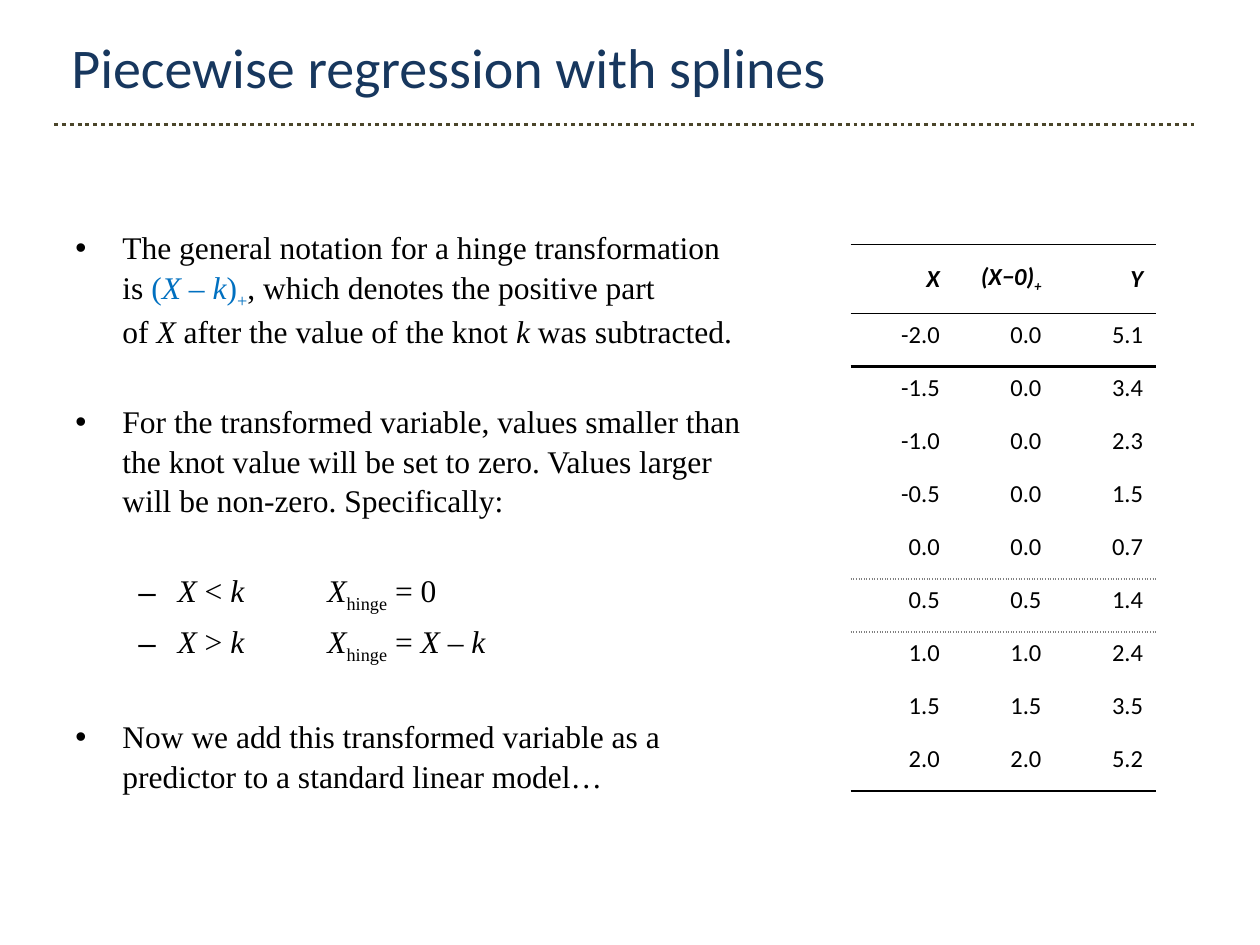
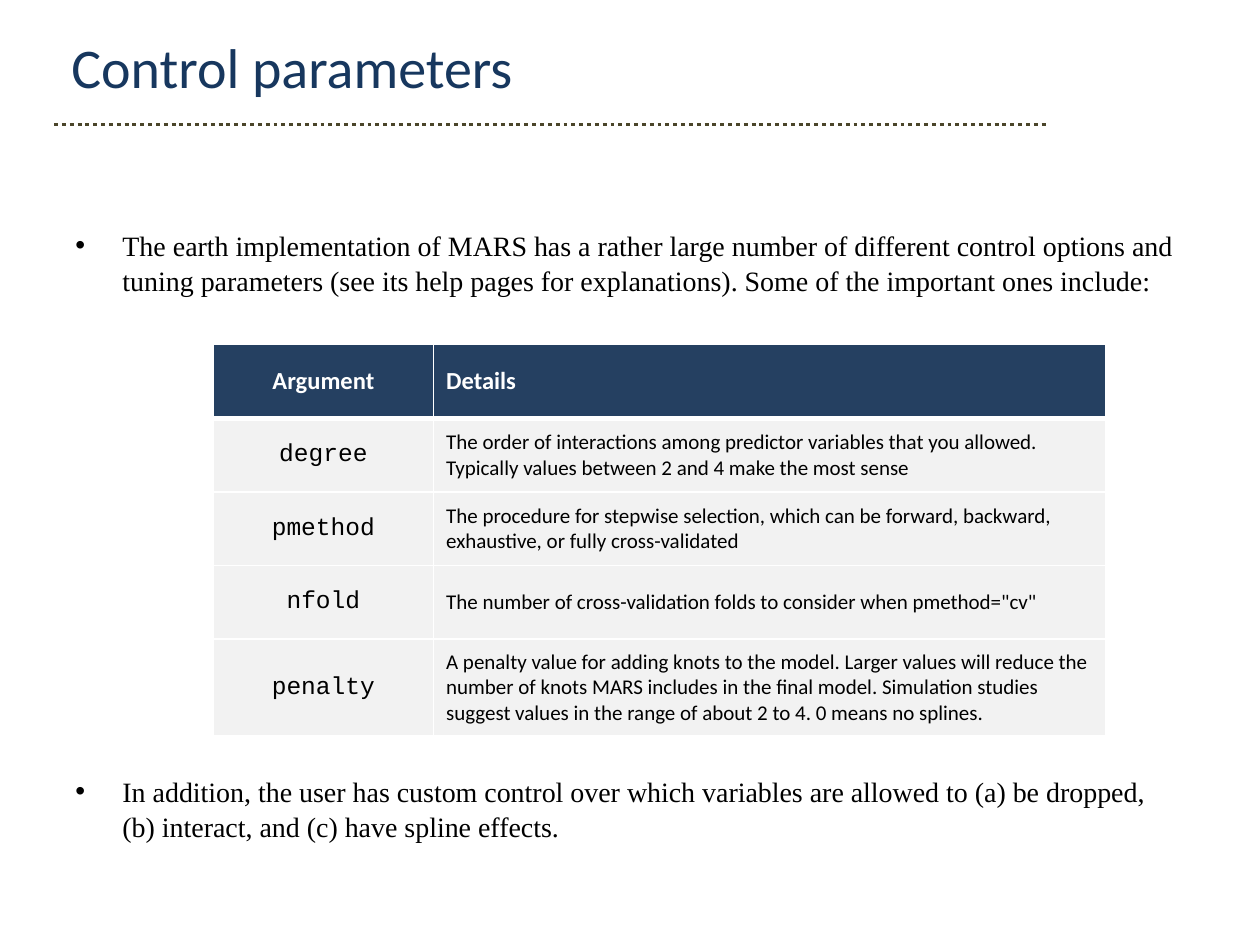
from lxml.etree import SubElement
from pptx import Presentation
from pptx.dml.color import RGBColor
from pptx.enum.dml import MSO_LINE_DASH_STYLE as Dash
from pptx.enum.shapes import MSO_CONNECTOR_TYPE as Connector
from pptx.enum.text import MSO_VERTICAL_ANCHOR as Anchor, PP_PARAGRAPH_ALIGNMENT as Align
from pptx.oxml.ns import qn
from pptx.util import Cm, Pt

COLORS = {
    "title": "17375E", "rule": "4A452A", "text": "000000", "notation": "0070C0",
    "header": "254061", "cell": "F2F2F2", "white": "FFFFFF", "knot": "808080",
}
TITLE_FONT, BODY_FONT, CODE_FONT = "Calibri", "Times New Roman", "Courier New"
NO_STYLE = "{2D5ABB26-0587-4C30-8999-92F81FD0307C}"
BULLET = {"char": "•", "left": Cm(0.95), "hanging": Cm(0.95)}
DASH = {"char": "–", "left": Cm(2.06), "hanging": Cm(0.79)}
CASE_TAB = Cm(5.08)
LINE_SPACING = 1.04

NOTATION = [
    ("The general notation for a hinge transformation\nis ", ""),
    ("(", "c"), ("X", "ci"), (" – ", "c"), ("k", "ci"), (")", "c"), ("+", "cs"),
    (", which denotes the positive part\nof ", ""), ("X ", "i"),
    ("after the value of the knot ", ""), ("k ", "i"), ("was subtracted.", ""),
]
KNOT_RULE = [(
    "For the transformed variable, values smaller than\n"
    "the knot value will be set to zero. Values larger\n"
    "will be non-zero. Specifically:", "")]
BELOW_KNOT = [("X", "i"), (" < ", ""), ("k\tX", "i"), ("hinge", "s"), (" = 0", "")]
ABOVE_KNOT = [("X", "i"), (" > ", ""), ("k\tX", "i"), ("hinge", "s"), (" = ", ""),
              ("X", "i"), (" – ", ""), ("k", "i")]
NEXT_STEP = [("Now we add this transformed variable as a\n"
              "predictor to a standard linear model…", "")]
OPTIONS = [("The earth implementation of MARS has a rather large number of different control "
            "options and tuning parameters (see its help pages for explanations). Some of the "
            "important ones include:", "")]
CUSTOM_CONTROL = [("In addition, the user has custom control over which variables are allowed "
                   "to (a) be dropped, (b) interact, and (c) have spline effects.", "")]

HINGE_HEADER = [[("X", "i")], [("(X−0)", "i"), ("+", "is")], [("Y", "i")]]
RESPONSES = [5.1, 3.4, 2.3, 1.5, 0.7, 1.4, 2.4, 3.5, 5.2]
ARGUMENTS = [
    ("degree", "The order of interactions among predictor variables that you allowed. "
               "Typically values between 2 and 4 make the most sense"),
    ("pmethod", "The procedure for stepwise selection, which can be forward, backward, "
                "exhaustive, or fully cross-validated"),
    ("nfold", 'The number of cross-validation folds to consider when pmethod="cv"'),
    ("penalty", "A penalty value for adding knots to the model. Larger values will reduce the "
                "number of knots MARS includes in the final model. Simulation studies suggest "
                "values in the range of about 2 to 4. 0 means no splines."),
]


def rgb(name):
    """Return the named colour."""
    return RGBColor.from_string(COLORS[name])


def write_runs(paragraph, pieces, size, font=BODY_FONT, color="text", bold=False):
    """Write (text, marks) pieces; marks are i italic, s subscript, c notation colour."""
    for text, marks in pieces:
        for index, line in enumerate(text.split("\n")):
            if index:
                paragraph.add_line_break()
            run = paragraph.add_run()
            run.text = line
            run.font.name, run.font.size, run.font.bold = font, Pt(size), bold
            run.font.italic = "i" in marks
            run.font.color.rgb = rgb("notation" if "c" in marks else color)
            if "s" in marks:
                run.font._element.set("baseline", "-25000")


def add_text_frame(slide, left, top, width, height):
    """Add a wrapping text box and return its text frame."""
    text_frame = slide.shapes.add_textbox(left, top, width, height).text_frame
    text_frame.word_wrap = True
    return text_frame


def add_title(slide, text, width):
    """Add the slide title and the dotted rule below it."""
    text_frame = add_text_frame(slide, Cm(1.19), Cm(0.53), width, Cm(1.62))
    write_runs(text_frame.paragraphs[0], [(text, "")], 32, TITLE_FONT, "title")
    left, top = Cm(1.09), Cm(2.51)
    rule = slide.shapes.add_connector(Connector.STRAIGHT, left, top, left + width + Cm(0.3), top)
    rule.line.color.rgb = rgb("rule")
    rule.line.width = Pt(2.25)
    rule.line.dash_style = Dash.ROUND_DOT
    SubElement(rule._element.spPr, qn("a:effectLst"))


def set_bullet(paragraph, style):
    """Give a paragraph its bullet, hanging indent and tab stop."""
    properties = paragraph._p.get_or_add_pPr()
    properties.set("marL", str(style["left"]))
    properties.set("indent", str(-style["hanging"]))
    SubElement(properties, qn("a:buFont"), typeface="Arial")
    SubElement(properties, qn("a:buChar"), char=style["char"])
    if style is DASH:
        tabs = SubElement(properties, qn("a:tabLst"))
        SubElement(tabs, qn("a:tab"), pos=str(CASE_TAB), algn="l")


def add_body(slide, size, items):
    """Add the bulleted body from (style, space before, pieces) items."""
    text_frame = add_text_frame(slide, Cm(1.27), Cm(4.45), Cm(22.86), Cm(13.7))
    for index, (style, space, pieces) in enumerate(items):
        paragraph = text_frame.add_paragraph() if index else text_frame.paragraphs[0]
        set_bullet(paragraph, style)
        paragraph.line_spacing = LINE_SPACING
        paragraph.space_before = Pt(space)
        write_runs(paragraph, pieces, size)


def add_plain_table(slide, left, top, widths, heights):
    """Add a table without style and return it."""
    frame = slide.shapes.add_table(len(heights), len(widths), left, top, sum(widths), sum(heights))
    table = frame.table
    table._tbl.tblPr.find(qn("a:tableStyleId")).text = NO_STYLE
    table.horz_banding = False
    for column, width in zip(table.columns, widths):
        column.width = width
    for row, height in zip(table.rows, heights):
        row.height = height
    return table


def set_border(cell, side, border):
    """Set one cell side to a (colour, points, dash) border, or to none."""
    properties = cell._tc.get_or_add_tcPr()
    line = SubElement(properties, qn(f"a:ln{side}"))
    if border is None:
        SubElement(line, qn("a:noFill"))
        return
    color, points, dash = border
    line.set("w", str(Pt(points)))
    fill = SubElement(line, qn("a:solidFill"))
    SubElement(fill, qn("a:srgbClr"), val=COLORS[color])
    SubElement(line, qn("a:prstDash"), val=dash)


def fill_cell(cell, pieces, size, borders, fill=None, align=Align.LEFT, anchor=Anchor.MIDDLE,
              **font):
    """Write and format one table cell; borders go left, right, top, bottom."""
    for side, border in zip("LRTB", borders):
        set_border(cell, side, border)
    if fill:
        cell.fill.solid()
        cell.fill.fore_color.rgb = rgb(fill)
    else:
        cell.fill.background()
    cell.vertical_anchor = anchor
    paragraph = cell.text_frame.paragraphs[0]
    paragraph.alignment = align
    write_runs(paragraph, pieces, size, **font)


def add_hinge_table(slide):
    """Add the table of X, its hinge transformation at zero, and Y."""
    rows = [HINGE_HEADER]
    for index, response in enumerate(RESPONSES):
        x = -2 + index / 2
        rows.append([[(f"{value:.1f}", "")] for value in (x, max(x, 0), response)])
    solid, dotted = ("text", 1, "solid"), ("knot", 1, "sysDot")
    rules = {0: solid, 1: solid, 2: ("text", 1.5, "solid"), 6: dotted, 7: dotted, 10: solid}
    heights = [Cm(1.39)] + [Cm(1.07)] * len(RESPONSES)
    table = add_plain_table(slide, Cm(17.15), Cm(4.93), [Cm(2.05)] * 3, heights)
    for row, values in enumerate(rows):
        borders = (None, None, rules.get(row), rules.get(row + 1))
        for column, pieces in enumerate(values):
            fill_cell(table.cell(row, column), pieces, 14, borders, align=Align.RIGHT,
                      anchor=Anchor.TOP if row else Anchor.MIDDLE,
                      font=TITLE_FONT, bold=row == 0)


def add_argument_table(slide):
    """Add the table of control arguments and their details."""
    heights = [Cm(1.51)] + [Cm(1.48)] * 3 + [Cm(1.96)]
    table = add_plain_table(slide, Cm(4.3), Cm(6.93), [Cm(4.44), Cm(13.56)], heights)
    thin, thick = ("white", 1, "solid"), ("white", 3, "solid")
    for row, (argument, details) in enumerate([("Argument", "Details")] + ARGUMENTS):
        header = row == 0
        borders = (thin, thin, thick if row == 1 else thin, thick if header else thin)
        shared = {"borders": borders, "fill": "header" if header else "cell",
                  "color": "white" if header else "text", "bold": header}
        fill_cell(table.cell(row, 0), [(argument, "")], 14, align=Align.CENTER,
                  font=TITLE_FONT if header else CODE_FONT, **shared)
        fill_cell(table.cell(row, 1), [(details, "")], 14 if header else 12,
                  font=TITLE_FONT, **shared)


def build_splines(slide):
    """Build the slide on hinge notation."""
    add_body(slide, 18, [
        (BULLET, 0, NOTATION), (BULLET, 29, KNOT_RULE), (DASH, 29, BELOW_KNOT),
        (DASH, 3.6, ABOVE_KNOT), (BULLET, 29, NEXT_STEP),
    ])
    add_title(slide, "Piecewise regression with splines", Cm(22.71))
    add_hinge_table(slide)


def build_parameters(slide):
    """Build the slide on control parameters."""
    add_body(slide, 16, [(BULLET, 0, OPTIONS), (BULLET, 272, CUSTOM_CONTROL)])
    add_title(slide, "Control parameters", Cm(19.71))
    add_argument_table(slide)


def main():
    """Build and save the presentation."""
    presentation = Presentation()
    presentation.slide_width, presentation.slide_height = Cm(25.4), Cm(19.05)
    for build in (build_splines, build_parameters):
        build(presentation.slides.add_slide(presentation.slide_layouts[6]))
    presentation.save("out.pptx")


if __name__ == "__main__":
    main()
